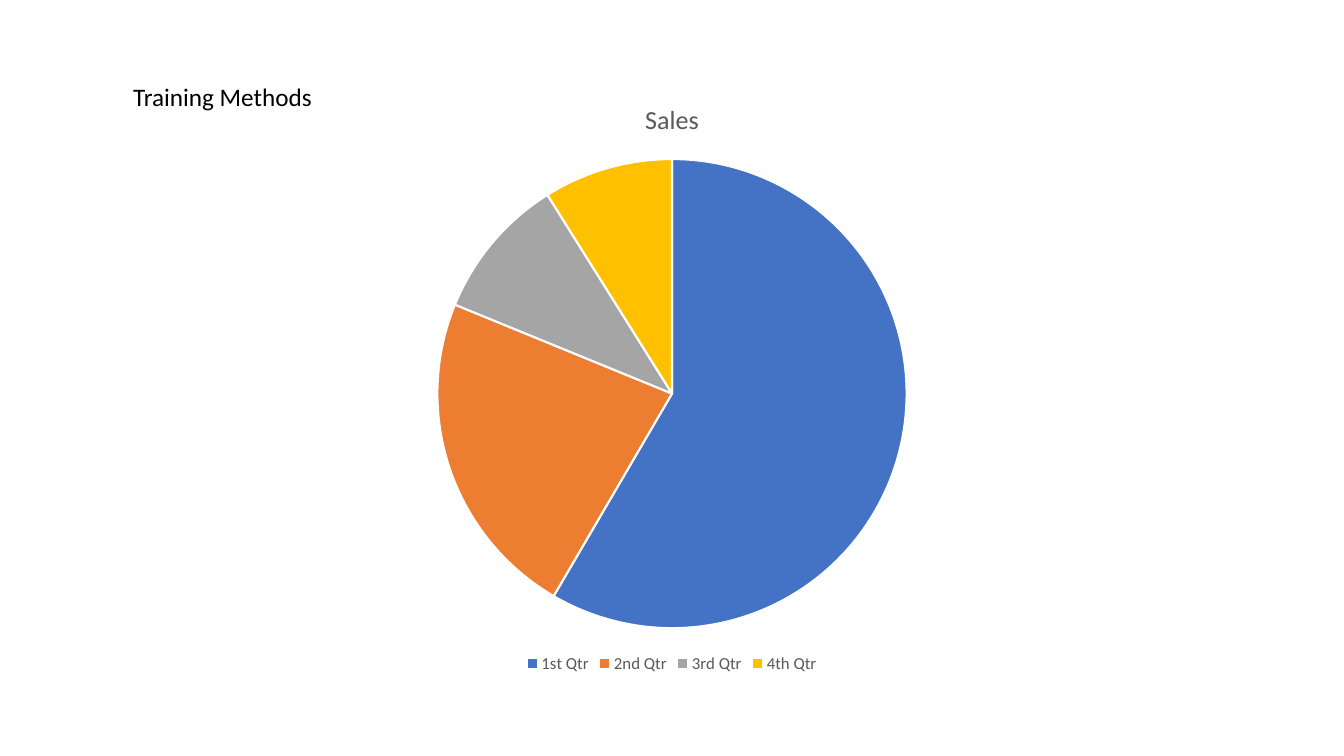
from dataclasses import dataclass

from pptx import Presentation
from pptx.chart.data import CategoryChartData
from pptx.dml.color import RGBColor
from pptx.enum.chart import XL_CHART_TYPE, XL_LEGEND_POSITION
from pptx.enum.text import MSO_ANCHOR, MSO_AUTO_SIZE, PP_ALIGN
from pptx.util import Inches, Pt


@dataclass(frozen=True)
class Theme:
    """Font, colours and type sizes of the slide."""
    font: str = "Calibri"
    ink: str = "000000"
    muted: str = "595959"
    edge: str = "FFFFFF"
    slices: tuple = ("4472C4", "ED7D31", "A5A5A5", "FFC000")
    title_size: float = 18
    chart_title_size: float = 18.6
    legend_size: float = 12


THEME = Theme()
QUARTERS = {"1st Qtr": 59, "2nd Qtr": 23, "3rd Qtr": 10, "4th Qtr": 9}


def style_font(font, size, color):
    """Apply the theme font at a size and colour."""
    font.name = THEME.font
    font.size = Pt(size)
    font.bold = False
    font.color.rgb = RGBColor.from_string(color)


def set_title(s, text, left, top, width, height):
    """Place and format the slide title."""
    sp = s.shapes.title
    sp.left, sp.top = Inches(left), Inches(top)
    sp.width, sp.height = Inches(width), Inches(height)
    tf = sp.text_frame
    tf.text = text
    tf.word_wrap = True
    tf.auto_size = MSO_AUTO_SIZE.NONE
    tf.vertical_anchor = MSO_ANCHOR.TOP
    p = tf.paragraphs[0]
    p.alignment = PP_ALIGN.LEFT
    style_font(p.runs[0].font, THEME.title_size, THEME.ink)


def add_pie(s, name, values, left, top, width, height):
    """Add a pie chart with a title and a legend below."""
    data = CategoryChartData()
    data.categories = list(values)
    data.add_series(name, list(values.values()))
    chart = s.shapes.add_chart(
        XL_CHART_TYPE.PIE, Inches(left), Inches(top),
        Inches(width), Inches(height), data).chart

    chart.has_title = True
    tf = chart.chart_title.text_frame
    tf.text = name
    style_font(tf.paragraphs[0].runs[0].font,
               THEME.chart_title_size, THEME.muted)
    chart.chart_title.include_in_layout = False

    chart.has_legend = True
    chart.legend.position = XL_LEGEND_POSITION.BOTTOM
    chart.legend.include_in_layout = False
    style_font(chart.legend.font, THEME.legend_size, THEME.muted)

    plot = chart.plots[0]
    plot.vary_by_categories = True
    for i, color in enumerate(THEME.slices):
        fmt = plot.series[0].points[i].format
        fmt.fill.solid()
        fmt.fill.fore_color.rgb = RGBColor.from_string(color)
        fmt.line.color.rgb = RGBColor.from_string(THEME.edge)
        fmt.line.width = Pt(1.5)


def main():
    """Build the slide and save it."""
    prs = Presentation()
    prs.slide_width, prs.slide_height = Inches(13.33), Inches(7.5)
    s = prs.slides.add_slide(prs.slide_layouts.get_by_name("Title Only"))
    set_title(s, "Training Methods", 1.22, 0.76, 4.99, 0.4)
    add_pie(s, "Sales", QUARTERS, 2.22, 0.79, 8.89, 5.93)
    prs.save("out.pptx")


if __name__ == "__main__":
    main()
